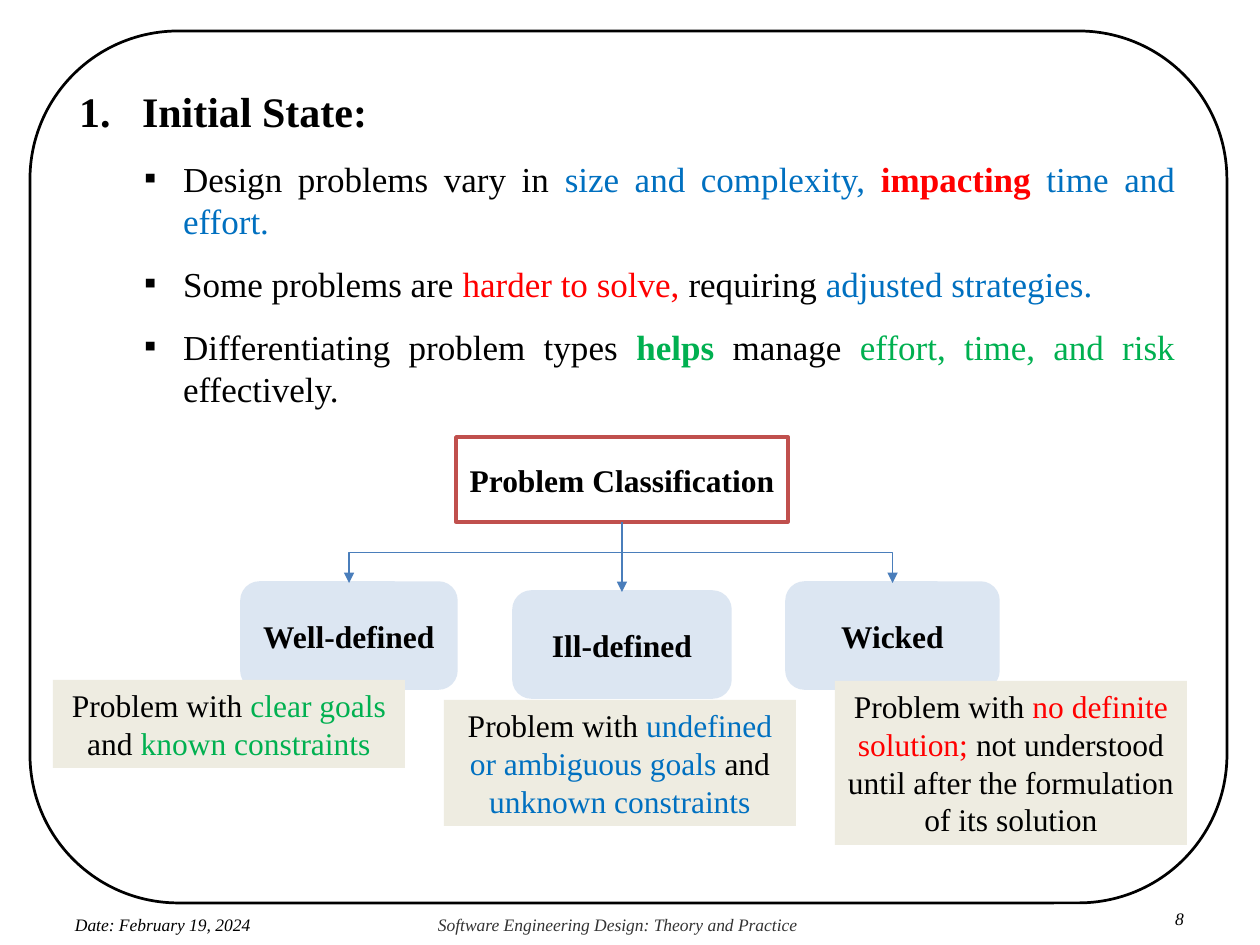
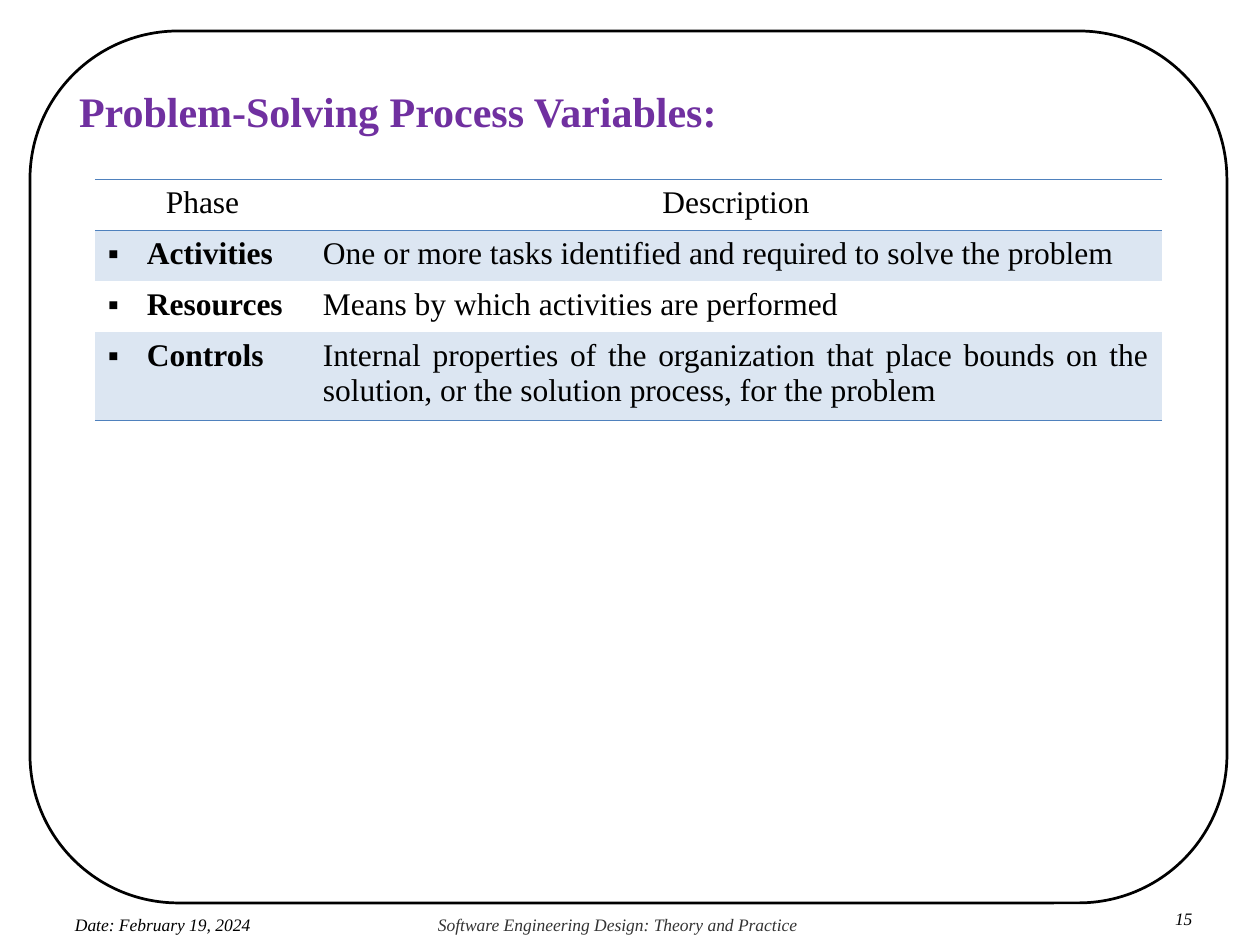
from lxml.etree import SubElement
from pptx import Presentation
from pptx.dml.color import RGBColor
from pptx.enum.shapes import MSO_CONNECTOR, MSO_SHAPE
from pptx.enum.text import MSO_ANCHOR, MSO_AUTO_SIZE, PP_ALIGN
from pptx.oxml.ns import qn
from pptx.util import Emu, Pt

PX_PER_INCH = 126
FONT = "Times New Roman"
COLORS = {
    "black": "000000", "white": "FFFFFF", "grey": "333333",
    "blue": "0070C0", "red": "FF0000", "green": "00B050", "purple": "7030A0",
    "brick": "C0504D", "node": "DCE6F2", "note": "EEECE1",
    "arrow": "4A7EBB", "rule": "4F81BD",
}
MARGINS = ("margin_left", "margin_top", "margin_right", "margin_bottom")
LEFT, CENTER, JUSTIFY = PP_ALIGN.LEFT, PP_ALIGN.CENTER, PP_ALIGN.JUSTIFY
TITLE_AND_BODY, TITLE_ONLY = 1, 5


def px(n):
    return Emu(round(n * 914400 / PX_PER_INCH))


def rgb(name):
    return RGBColor.from_string(COLORS[name])


def put(obj, fmt):
    for name, value in fmt.items():
        setattr(obj, name, value)


class Deck:
    def __init__(self, width, height):
        self.prs = Presentation()
        put(self.prs, {"slide_width": px(width), "slide_height": px(height)})
        self.s = None

    # Slide with the shared frame and footer
    def slide(self, layout, number):
        self.s = self.prs.slides.add_slide(self.prs.slide_layouts[layout])
        frame = self.box((30, 31, 1197, 872), line="black", weight=1.56,
                         kind=MSO_SHAPE.ROUNDED_RECTANGLE)
        frame.adjustments[0] = 0.17
        self.label((75, 914, 199, 20), "Date: February 19, 2024")
        self.label((438, 914, 364, 20),
                   "Software Engineering Design: Theory and Practice", "grey")
        self.label((1175, 908, 45, 20), number)

    # Text: each paragraph is a list of (text, colour, bold) runs
    def text(self, tf, paragraphs, size, align=LEFT, margins=(0, 0, 0, 0),
             anchor=MSO_ANCHOR.TOP, pitch=1.2, gap=0, bullet=None, indent=(0, 0)):
        put(tf, {"word_wrap": True, "auto_size": MSO_AUTO_SIZE.NONE,
                 "vertical_anchor": anchor})
        put(tf, dict(zip(MARGINS, map(px, margins))))
        for i, runs in enumerate(paragraphs):
            p = tf.add_paragraph() if i else tf.paragraphs[0]
            self.bullet(p, bullet, indent)
            put(p, {"alignment": align, "line_spacing": Pt(round(size * pitch, 1)),
                    "space_before": Pt(gap if i else 0), "space_after": Pt(0)})
            self.runs(p, runs, size)

    def runs(self, p, runs, size, italic=False):
        for text, color, bold in runs:
            r = p.add_run()
            r.text = text
            put(r.font, {"name": FONT, "size": Pt(size), "bold": bold, "italic": italic})
            r.font.color.rgb = rgb(color)

    def bullet(self, p, mark, indent):
        pPr = p._p.get_or_add_pPr()
        pPr.set("marL", str(px(indent[0])))
        pPr.set("indent", str(px(indent[1])))
        if mark is None:
            SubElement(pPr, qn("a:buNone"))
            return
        SubElement(pPr, qn("a:buFont")).set("typeface", FONT)
        if mark == "1.":
            SubElement(pPr, qn("a:buAutoNum")).set("type", "arabicPeriod")
        else:
            SubElement(pPr, qn("a:buChar")).set("char", mark)

    def label(self, at, text, color="black"):
        tf = self.s.shapes.add_textbox(*map(px, at)).text_frame
        put(tf, dict.fromkeys(MARGINS, 0))
        tf.word_wrap = True
        p = tf.paragraphs[0]
        p.line_spacing = Pt(11.8)
        self.runs(p, [(text, color, False)], 10, italic=True)

    # Placeholders
    def place(self, sp, at):
        put(sp, dict(zip(("left", "top", "width", "height"), map(px, at))))
        return sp.text_frame

    def title(self, text, color="black", **style):
        tf = self.place(self.s.shapes.title, (79, 79, 1097, 57))
        self.text(tf, [[(text, color, True)]], 24, margins=(0, 6, 0, 0), **style)

    def body(self, at, paragraphs):
        tf = self.place(self.s.placeholders[1], at)
        self.text(tf, paragraphs, 20, JUSTIFY, gap=12, bullet="▪", indent=(104, -39))

    # Shapes
    def box(self, at, fill=None, line=None, weight=2, kind=MSO_SHAPE.RECTANGLE):
        sp = self.s.shapes.add_shape(kind, *map(px, at))
        sp.shadow.inherit = False
        if fill:
            sp.fill.solid()
            sp.fill.fore_color.rgb = rgb(fill)
        else:
            sp.fill.background()
        if line:
            sp.line.color.rgb = rgb(line)
            sp.line.width = Pt(weight)
        else:
            sp.line.fill.background()
        return sp

    def node(self, at, text, fill="node", line="node", kind=MSO_SHAPE.ROUNDED_RECTANGLE):
        sp = self.box(at, fill, line, kind=kind)
        self.text(sp.text_frame, [[(text, "black", True)]], 18, CENTER,
                  (6, 6, 6, 6), MSO_ANCHOR.MIDDLE)
        return sp

    def note(self, at, runs):
        sp = self.box(at, "note")
        self.text(sp.text_frame, [runs], 18, CENTER, (12, 6, 12, 6))

    # Arrows from the bottom of one node to the top of another
    def arrow(self, kind, x1, y1, x2, y2):
        c = self.s.shapes.add_connector(kind, x1, y1, x2, y2)
        c.line.color.rgb = rgb("arrow")
        c.line.width = Pt(0.75)
        SubElement(c.line._get_or_add_ln(), qn("a:tailEnd")).set("type", "triangle")
        SubElement(c._element.spPr, qn("a:effectLst"))
        return c

    def straight(self, a, b):
        c = self.arrow(MSO_CONNECTOR.STRAIGHT, 0, 0, 0, 0)
        c.begin_connect(a, 2)
        c.end_connect(b, 0)

    def elbow(self, a, b):
        x1, y1 = a.left + a.width // 2, a.top + a.height
        x2, y2 = b.left + b.width // 2, b.top
        drop, reach = y2 - y1, abs(x2 - x1)
        # An elbow runs sideways first, so it is turned about its centre
        left, top = (x1 + x2 - drop) // 2, (y1 + y2 - reach) // 2
        c = self.arrow(MSO_CONNECTOR.ELBOW, left, top, left + drop, top + reach)
        xfrm = c._element.spPr.find(qn("a:xfrm"))
        xfrm.set("rot", str((90 if x2 < x1 else 270) * 60000))
        if x2 > x1:
            xfrm.set("flipH", "1")

    # Table with rules above and below the header and at the foot
    def table(self, left, top, widths, heights, rows):
        shape = self.s.shapes.add_table(len(rows), len(widths), px(left), px(top),
                                        px(sum(widths)), px(sum(heights)))
        tbl = shape.table
        put(tbl, {"first_row": False, "horz_banding": False})
        for col, w in zip(tbl.columns, widths):
            col.width = px(w)
        for i, row in enumerate(rows):
            tbl.rows[i].height = px(heights[i])
            for j, text in enumerate(row):
                cell = tbl.cell(i, j)
                self.borders(cell, top=i < 2, bottom=i in (0, len(rows) - 1))
                if i % 2:
                    cell.fill.solid()
                    cell.fill.fore_color.rgb = rgb("node")
                else:
                    cell.fill.background()
                self.cell(cell, text, header=i == 0, key=i > 0 and j == 0)

    def cell(self, cell, text, header, key):
        put(cell, dict(zip(MARGINS, map(px, (13, 6, 13, 6)))))
        p = cell.text_frame.paragraphs[0]
        if key:
            self.bullet(p, "▪", (39, -39))
        put(p, {"alignment": CENTER if header else JUSTIFY, "line_spacing": Pt(20)})
        self.runs(p, [(text, "black", key)], 18)

    def borders(self, cell, top, bottom):
        tcPr = cell._tc.get_or_add_tcPr()
        for side, drawn in (("L", False), ("R", False), ("T", top), ("B", bottom)):
            ln = SubElement(tcPr, qn("a:ln" + side), w=str(Pt(0.45)))
            if drawn:
                fill = SubElement(ln, qn("a:solidFill"))
                SubElement(fill, qn("a:srgbClr")).set("val", COLORS["rule"])
            else:
                SubElement(ln, qn("a:noFill"))


def initial_state(deck):
    deck.slide(TITLE_AND_BODY, "8")
    deck.title("Initial State:", bullet="1.", indent=(63, -63))
    deck.body((79, 157, 1096, 252), [
        [("Design problems vary in ", "black", False),
         ("size and complexity, ", "blue", False),
         ("impacting ", "red", True),
         ("time and effort.", "blue", False)],
        [("Some problems are ", "black", False),
         ("harder to solve, ", "red", False),
         ("requiring ", "black", False),
         ("adjusted strategies.", "blue", False)],
        [("Differentiating problem types ", "black", False),
         ("helps", "green", True),
         (" manage ", "black", False),
         ("effort, time, and risk", "green", False),
         (" effectively.", "black", False)],
    ])

    # Classification tree
    root = deck.node((456, 437, 332, 85), "Problem Classification", "white", "brick",
                     MSO_SHAPE.RECTANGLE)
    well = deck.node((242, 583, 214, 105), "Well-defined")
    deck.note((53, 680, 352, 88), [
        ("Problem with ", "black", False), ("clear goals ", "green", False),
        ("and ", "black", False), ("known constraints", "green", False)])
    ill = deck.node((514, 592, 216, 105), "Ill-defined")
    deck.note((444, 700, 352, 126), [
        ("Problem with ", "black", False),
        ("undefined or ambiguous goals ", "blue", False),
        ("and ", "black", False), ("unknown constraints", "blue", False)])
    wicked = deck.node((787, 583, 211, 105), "Wicked")
    deck.note((835, 681, 352, 164), [
        ("Problem with ", "black", False), ("no definite solution; ", "red", False),
        ("not understood until after the formulation of its solution", "black", False)])
    deck.elbow(root, well)
    deck.elbow(root, wicked)
    deck.straight(root, ill)


def process_variables(deck):
    deck.slide(TITLE_ONLY, "15")
    deck.title("Problem-Solving Process Variables:", "purple")
    deck.table(95, 179, (215, 852), (51, 51, 51, 88), [
        ("Phase", "Description"),
        ("Activities", "One or more tasks identified and required to solve the problem"),
        ("Resources", "Means by which activities are performed"),
        ("Controls", "Internal properties of the organization that place bounds on the "
                     "solution, or the solution process, for the problem"),
    ])


def main():
    deck = Deck(1260, 945)
    initial_state(deck)
    process_variables(deck)
    deck.prs.save("out.pptx")


if __name__ == "__main__":
    main()
